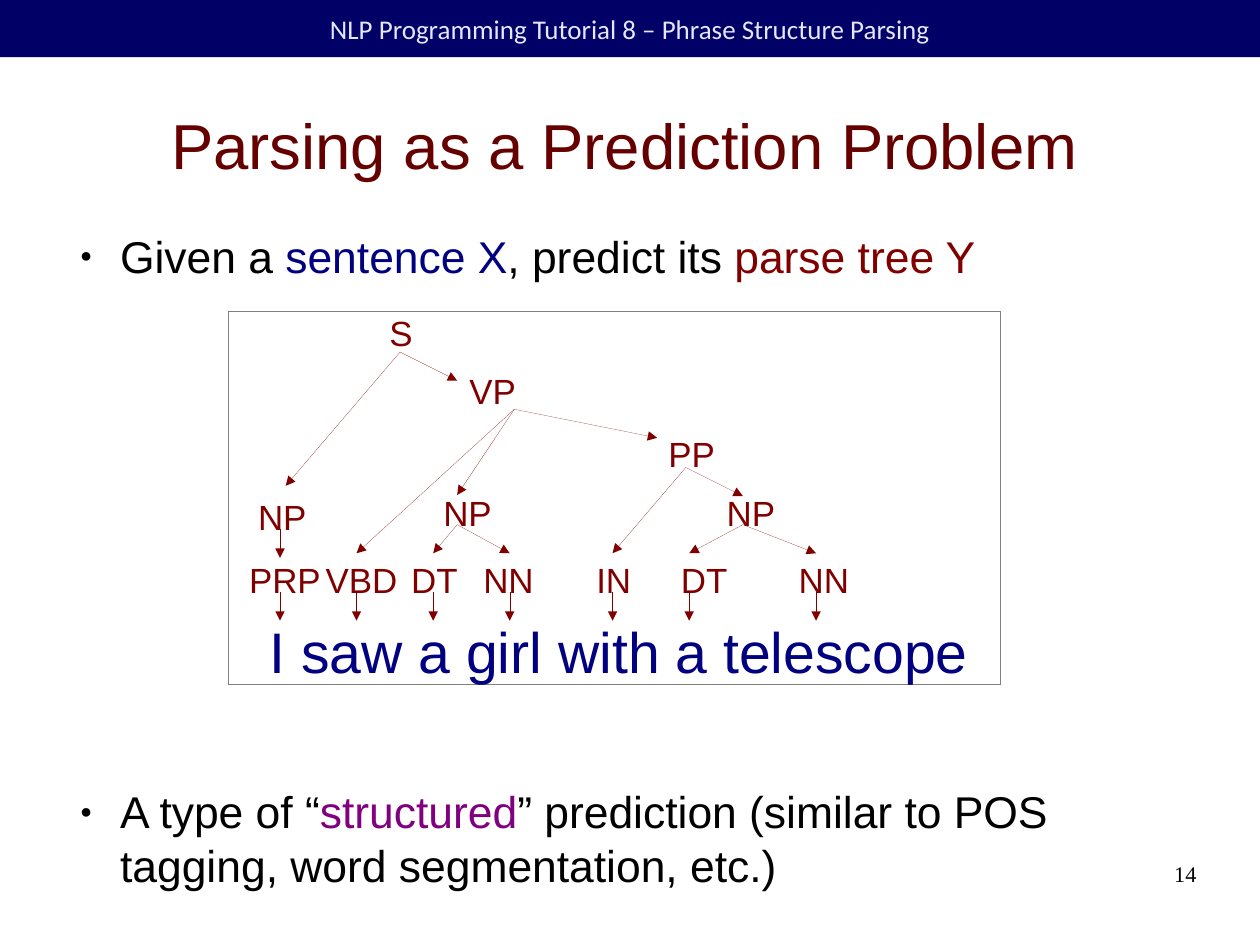
import pptx
import pptx.util
import pptx.dml.color
import pptx.enum.shapes
import pptx.enum.text
import pptx.oxml.ns
from lxml import etree

Pt = pptx.util.Pt
PP_ALIGN = pptx.enum.text.PP_ALIGN
ANCHOR = pptx.enum.text.MSO_ANCHOR
NO_FIT = pptx.enum.text.MSO_AUTO_SIZE.NONE
RECTANGLE = pptx.enum.shapes.MSO_SHAPE.RECTANGLE
STRAIGHT = pptx.enum.shapes.MSO_CONNECTOR.STRAIGHT

COLORS = {
    "banner": "000066", "banner text": "E6E6FF", "title": "660000",
    "text": "000000", "sentence": "000080", "tree": "800000",
    "structured": "800080", "frame": "808080",
}


def write(shape, text, size, color, font="Arial", align=PP_ALIGN.LEFT, margins=(7.2, 3.6),
          wrap=True, anchor=ANCHOR.TOP):
    frame = shape.text_frame
    frame.auto_size = NO_FIT
    frame.word_wrap = wrap
    frame.vertical_anchor = anchor
    frame.margin_left = frame.margin_right = Pt(margins[0])
    frame.margin_top = frame.margin_bottom = Pt(margins[1])
    frame.text = text
    frame.paragraphs[0].alignment = align
    for run in frame.paragraphs[0].runs:
        run.font.name = font
        run.font.size = Pt(size)
        run.font.color.rgb = pptx.dml.color.RGBColor.from_string(COLORS[color])


def draw_branch(start, end):
    branch = slide.shapes.add_connector(STRAIGHT, *[Pt(value) for value in (*start, *end)])
    branch.line.color.rgb = pptx.dml.color.RGBColor.from_string(COLORS["tree"])
    outline = branch.line._get_or_add_ln()
    outline.set("w", "0")
    etree.SubElement(outline, pptx.oxml.ns.qn("a:tailEnd"), type="triangle")
    etree.SubElement(branch._element.spPr, pptx.oxml.ns.qn("a:effectLst"))


deck = pptx.Presentation()
deck.slide_width, deck.slide_height = Pt(793.75), Pt(595.25)
slide = deck.slides.add_slide(deck.slide_layouts[1])

banner = slide.shapes.add_shape(RECTANGLE, 0, 0, deck.slide_width, Pt(36))
banner.shadow.inherit = False
banner.fill.solid()
banner.fill.fore_color.rgb = pptx.dml.color.RGBColor.from_string(COLORS["banner"])
banner.line.fill.background()
write(banner, "NLP Programming Tutorial 8 – Phrase Structure Parsing", 17, "banner text",
      font="Calibri", align=PP_ALIGN.CENTER, anchor=ANCHOR.MIDDLE)

title = slide.shapes.title
title.left, title.top, title.width, title.height = Pt(36), Pt(45), Pt(714.4), Pt(91.4)
write(title, "Parsing as a Prediction Problem", 40, "title", align=PP_ALIGN.CENTER,
      margins=(0, 0), anchor=ANCHOR.MIDDLE)

points = slide.placeholders[1]
points.left, points.top, points.width, points.height = Pt(41.8), Pt(144), Pt(714.4), Pt(389)
write(points, "", 28, "text", margins=(0, 0))
point_texts = [
    ([("Given a ", "text"), ("sentence X", "sentence"), (", predict its ", "text"),
      ("parse tree Y", "tree")], 316.5),
    ([("A type of “", "text"), ("structured", "structured"),
      ("” prediction (similar to POS tagging, word segmentation, etc.)", "text")], 0),
]
for index, (point_parts, gap_after) in enumerate(point_texts):
    point = points.text_frame.paragraphs[0] if index == 0 else points.text_frame.add_paragraph()
    properties = point._p.get_or_add_pPr()
    properties.set("marL", str(Pt(33.84)))
    properties.set("indent", str(Pt(-25.2)))
    bullet_color = etree.SubElement(properties, pptx.oxml.ns.qn("a:buClr"))
    etree.SubElement(bullet_color, pptx.oxml.ns.qn("a:srgbClr"), val=COLORS["text"])
    etree.SubElement(properties, pptx.oxml.ns.qn("a:buSzPct"), val="45000")
    etree.SubElement(properties, pptx.oxml.ns.qn("a:buChar"), char="●")
    point.space_before = Pt(0)
    point.space_after = Pt(gap_after)
    for words, color in point_parts:
        run = point.add_run()
        run.text = words
        run.font.name = "Arial"
        run.font.size = Pt(28)
        run.font.color.rgb = pptx.dml.color.RGBColor.from_string(COLORS[color])

tree_frame = slide.shapes.add_shape(RECTANGLE, Pt(144), Pt(196.5), Pt(486), Pt(235))
tree_frame.shadow.inherit = False
tree_frame.fill.background()
tree_frame.line.color.rgb = pptx.dml.color.RGBColor.from_string(COLORS["frame"])
tree_frame.line._get_or_add_ln().set("w", "0")

sentence = slide.shapes.add_textbox(Pt(162.7), Pt(384.5), Pt(454.3), Pt(47.5))
write(sentence, "I saw a girl with a telescope", 36, "sentence", wrap=False)

branch_points = {
    "S": (252, 221.8), "VP": (324, 257.8), "PP": (432, 294.5),
    "NP subject": (176.4, 333.4), "NP object": (288, 330.5), "NP instrument": (468, 330.5),
}
phrase_nodes = [
    ("S", 238.3, 192.7, 28.8, None, None),
    ("VP", 288.7, 229.4, 43.2, "S", (288, 239.8)),
    ("PP", 414, 269, 43.2, "VP", (414, 275.8)),
    ("NP", 155.5, 308.6, 44.6, "S", (180, 306)),
    ("NP", 272.2, 306, 44.6, "VP", (288, 311.8)),
    ("NP", 450.7, 306, 44.6, "PP", (468, 312.5)),
]
word_tags = [
    ("PRP", 149.8, 59, "NP subject", 176.4),
    ("VBD", 198, 59, "VP", 224.6),
    ("DT", 252, 43.2, "NP object", 272.9),
    ("NN", 297.4, 46.1, "NP object", 321.1),
    ("IN", 368.6, 36, "PP", 385.9),
    ("DT", 421.9, 43.2, "NP instrument", 434.2),
    ("NN", 496.1, 46.1, "NP instrument", 514.1),
]
tree_nodes = list(phrase_nodes)
for tag, left, width, parent, x in word_tags:
    tip_y = max(348.5, branch_points[parent][1] + 18)
    tree_nodes.append((tag, left, 348.2, width, parent, (x, tip_y)))
    draw_branch((x, 373), (x, 391))

for label, left, top, width, parent, tip in tree_nodes:
    if parent:
        draw_branch(branch_points[parent], tip)
    node = slide.shapes.add_textbox(Pt(left), Pt(top), Pt(width), Pt(31.7))
    write(node, label, 22, "tree", wrap=False)

page_number = slide.shapes.add_textbox(Pt(568.8), Pt(542.2), Pt(185), Pt(41))
write(page_number, "14", 14, "text", font="Times New Roman", align=PP_ALIGN.RIGHT, margins=(0, 0))

deck.save("out.pptx")
